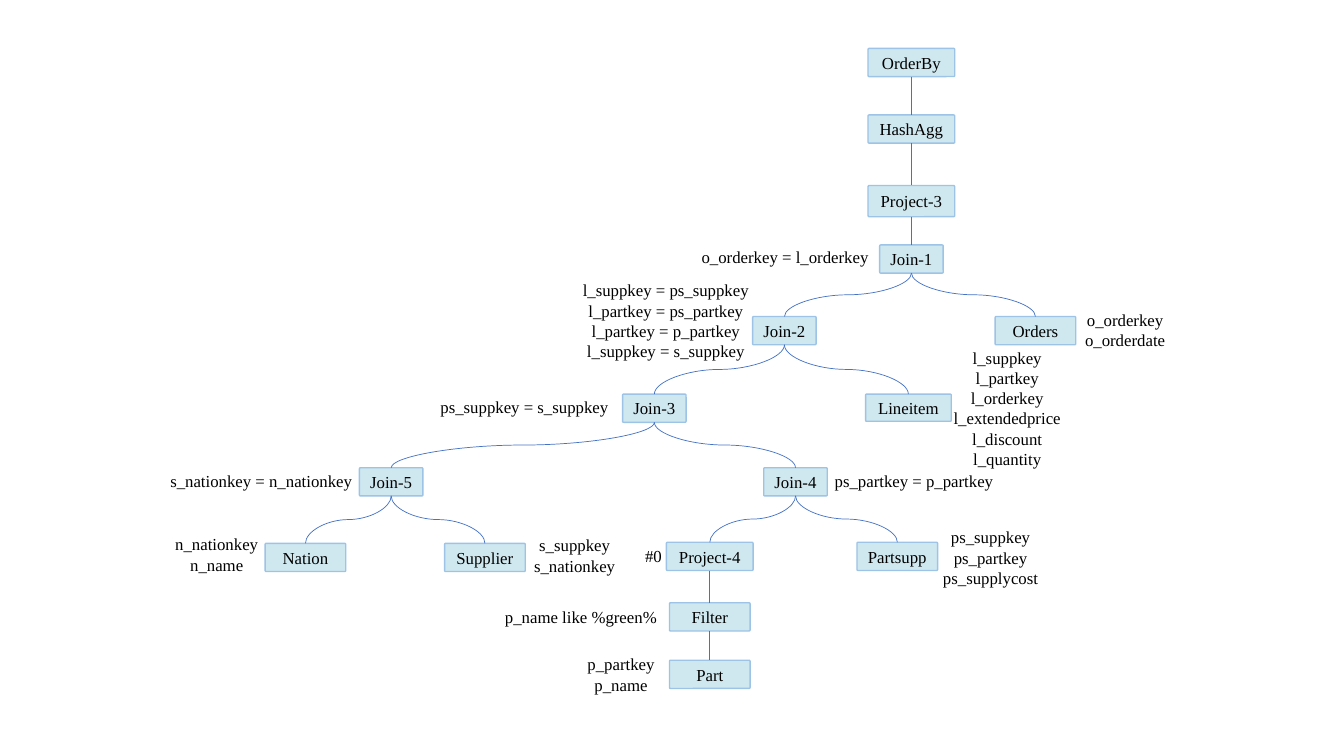
from dataclasses import dataclass
from lxml.etree import SubElement
from pptx import Presentation
from pptx.dml.color import RGBColor
from pptx.enum.shapes import MSO_CONNECTOR, MSO_SHAPE
from pptx.enum.text import MSO_ANCHOR, PP_ALIGN
from pptx.oxml.ns import qn
from pptx.shapes.autoshape import Shape
from pptx.slide import Slide
from pptx.text.text import TextFrame
from pptx.util import Inches, Pt

FONT = "Times New Roman"
FILL, EDGE, LINK, INK = "CFE8EF", "9DC3E6", "4472C4", "000000"
JOIN, LEAF, STEP = 6.3, 8.0, 8.6
HIGH = 2.8


@dataclass
class Node:
    name: str
    parent: str
    mid: float
    row: float
    cols: float
    rows: float = HIGH


@dataclass
class Label:
    text: str
    col: float
    row: float
    cols: float
    lines: int = 1


NODES = [
    Node("OrderBy", "", 90.4, 4.8, STEP),
    Node("HashAgg", "OrderBy", 90.4, 11.4, STEP),
    Node("Project-3", "HashAgg", 90.4, 18.4, STEP, 3.1),
    Node("Join-1", "Project-3", 90.4, 24.3, JOIN),
    Node("Join-2", "Join-1", 77.8, 31.4, JOIN),
    Node("Orders", "Join-1", 102.7, 31.4, LEAF),
    Node("Join-3", "Join-2", 64.9, 39.1, JOIN),
    Node("Lineitem", "Join-2", 90.1, 39.1, 8.5, 2.7),
    Node("Join-5", "Join-3", 38.8, 46.4, JOIN),
    Node("Join-4", "Join-3", 78.9, 46.4, JOIN),
    Node("Nation", "Join-5", 30.3, 53.9, LEAF),
    Node("Supplier", "Join-5", 48.1, 53.9, LEAF),
    Node("Project-4", "Join-4", 70.4, 53.8, STEP),
    Node("Partsupp", "Join-4", 89, 53.8, LEAF),
    Node("Filter", "Project-4", 70.4, 59.8, LEAF),
    Node("Part", "Filter", 70.4, 65.5, LEAF),
]

LABELS = [
    Label("o_orderkey = l_orderkey", 68.6, 24, 19.2),
    Label("o_orderkey\no_orderdate", 106.1, 30.2, 11, 2),
    Label("l_suppkey = ps_suppkey\nl_partkey = ps_partkey\n"
          "l_partkey = p_partkey\nl_suppkey = s_suppkey", 56.7, 27.3, 18.7, 4),
    Label("l_suppkey\nl_partkey\nl_orderkey\nl_extendedprice\n"
          "l_discount\nl_quantity", 92.7, 34, 14.4, 6),
    Label("ps_suppkey = s_suppkey", 42.7, 38.9, 19.2),
    Label("ps_partkey = p_partkey", 81.8, 46.2, 18.2),
    Label("s_nationkey = n_nationkey", 15.9, 46.2, 20.2),
    Label("n_nationkey\vn_name", 16, 52.5, 11, 2),
    Label("s_suppkey s_nationkey", 51.5, 52.6, 11, 2),
    Label("#0", 63, 53.6, 4.5),
    Label("ps_suppkey ps_partkey\nps_supplycost", 92.2, 51.8, 12.1, 3),
    Label("p_name like %green%", 49.1, 59.7, 17.9),
    Label("p_partkey p_name", 56.1, 64.4, 11, 2),
]


def grid(cells: float) -> int:
    return Inches(cells / 10)


def tint(code: str) -> RGBColor:
    return RGBColor.from_string(code)


def write(frame: TextFrame, text: str, align: PP_ALIGN) -> None:
    frame.text = text
    frame.word_wrap = True
    for para in frame.paragraphs:
        para.alignment = align
        for run in para.runs:
            run.font.name = FONT
            run.font.size = Pt(12)
            run.font.color.rgb = tint(INK)


def draw_node(slide: Slide, node: Node) -> Shape:
    box = slide.shapes.add_shape(
        MSO_SHAPE.ROUNDED_RECTANGLE, grid(node.mid - node.cols / 2),
        grid(node.row), grid(node.cols), grid(node.rows))
    box.adjustments[0] = 0.04
    box.shadow.inherit = False
    box.fill.solid()
    box.fill.fore_color.rgb = tint(FILL)
    box.line.color.rgb = tint(EDGE)
    box.line.width = Pt(1)
    frame = box.text_frame
    frame.margin_left = frame.margin_right = 0
    frame.vertical_anchor = MSO_ANCHOR.MIDDLE
    write(frame, node.name, PP_ALIGN.CENTER)
    return box


def draw_label(slide: Slide, label: Label) -> None:
    box = slide.shapes.add_textbox(
        grid(label.col), grid(label.row), grid(label.cols),
        grid(1 + 2.02 * label.lines))
    align = PP_ALIGN.CENTER if label.lines > 1 else PP_ALIGN.LEFT
    write(box.text_frame, label.text, align)


def draw_link(slide: Slide, upper: Shape, lower: Shape, bent: bool) -> None:
    kind = MSO_CONNECTOR.CURVE if bent else MSO_CONNECTOR.STRAIGHT
    link = slide.shapes.add_connector(kind, 0, 0, 0, 0)
    link.begin_connect(upper, 2)
    link.end_connect(lower, 0)
    link.line.color.rgb = tint(LINK)
    link.line.width = Pt(0.5)
    props = link.element.spPr
    SubElement(props, qn("a:effectLst"))
    if bent:
        wide, tall = link.width, link.height
        right = link.end_x > link.begin_x
        left = link.left + (wide - tall) // 2
        top = link.top + (tall - wide) // 2
        link.left, link.top, link.width, link.height = left, top, tall, wide
        frame = props.find(qn("a:xfrm"))
        frame.set("rot", str((270 if right else 90) * 60000))
        frame.set("flipH", "1" if right else "0")
        frame.set("flipV", "0")


def main() -> None:
    deck = Presentation()
    deck.slide_width, deck.slide_height = Inches(13.33), Inches(7.5)
    slide = deck.slides.add_slide(deck.slide_layouts[6])
    boxes = {node.name: draw_node(slide, node) for node in NODES}
    mids = {node.name: node.mid for node in NODES}
    for node in NODES:
        if node.parent:
            draw_link(slide, boxes[node.parent], boxes[node.name],
                      node.mid != mids[node.parent])
    for label in LABELS:
        draw_label(slide, label)
    deck.save("out.pptx")


if __name__ == "__main__":
    main()
